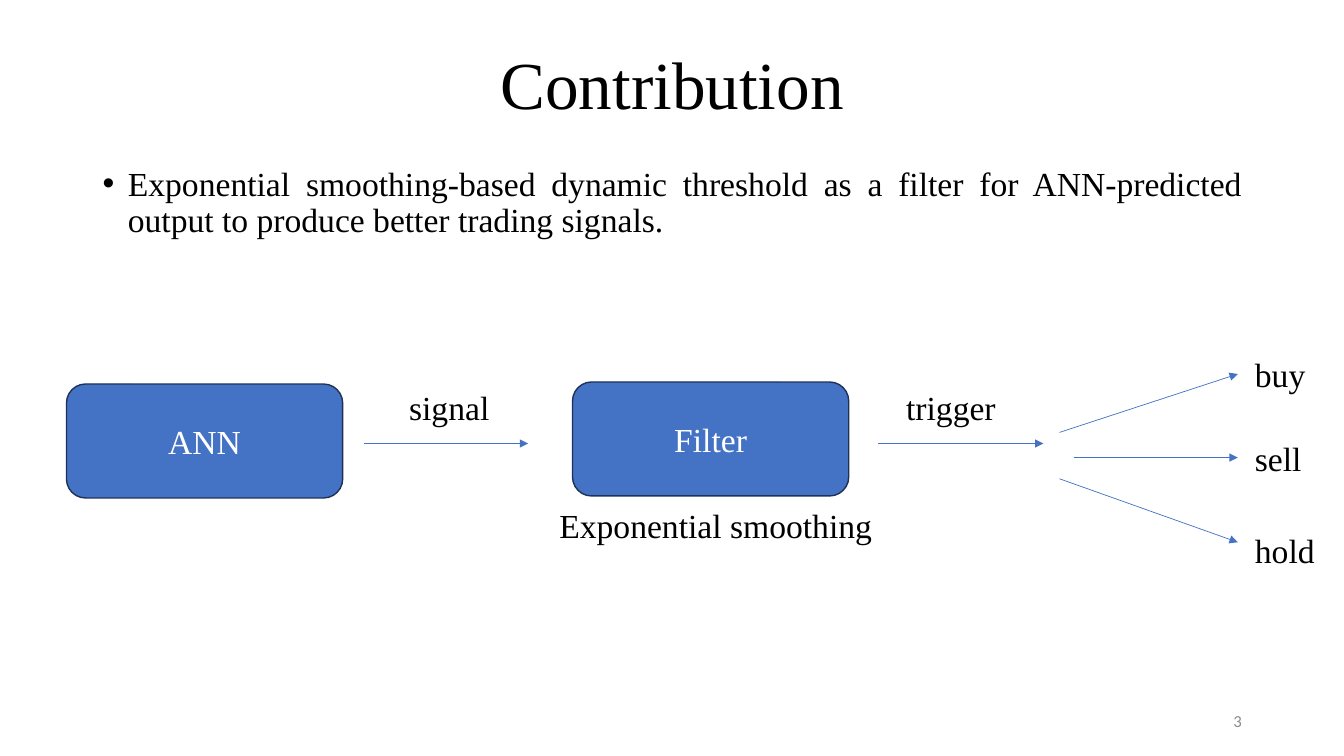
"""Build the Contribution slide: a signal flow from ANN through a filter to three actions."""
from lxml import etree
from pptx import Presentation
from pptx.dml.color import RGBColor
from pptx.enum.shapes import MSO_CONNECTOR, MSO_SHAPE
from pptx.enum.text import MSO_ANCHOR, PP_ALIGN
from pptx.oxml.ns import qn
from pptx.util import Inches, Pt

LEFT, CENTER, RIGHT, JUSTIFY = PP_ALIGN.LEFT, PP_ALIGN.CENTER, PP_ALIGN.RIGHT, PP_ALIGN.JUSTIFY
TOP, MIDDLE = MSO_ANCHOR.TOP, MSO_ANCHOR.MIDDLE
ROUNDED, STRAIGHT = MSO_SHAPE.ROUNDED_RECTANGLE, MSO_CONNECTOR.STRAIGHT
SLIDE_W, SLIDE_H = Inches(13.33), Inches(7.5)
SERIF, SANS = "Times New Roman", "Calibri"
BLACK, WHITE, GREY, BLUE, NAVY = "000000", "FFFFFF", "8C8C8C", "4472C4", "1E3256"
LABEL_H = 6.67


def rgb(value):
    """Turn a hex string into a colour."""
    return RGBColor.from_string(value)


def place(x, y):
    """Turn percentages of the slide's width and height into lengths."""
    return round(SLIDE_W * x / 100), round(SLIDE_H * y / 100)


def write(sp, text, size=24, color=BLACK, font=SERIF, align=LEFT, anchor=TOP):
    """Write one paragraph into a shape and return the paragraph."""
    tf = sp.text_frame
    tf.word_wrap = True
    tf.vertical_anchor = anchor
    p = tf.paragraphs[0]
    p.alignment = align
    r = p.add_run()
    r.text = text
    r.font.size, r.font.name = Pt(size), font
    r.font.color.rgb = rgb(color)
    return p


def add_text(s, text, x, y, w, h=LABEL_H, **style):
    """Add a text box and return its paragraph."""
    return write(s.shapes.add_textbox(*place(x, y), *place(w, h)), text, **style)


def add_stage(s, text, x, y):
    """Add one rounded box of the flow."""
    sp = s.shapes.add_shape(ROUNDED, *place(x, y), *place(20.55, 15.07))
    sp.shadow.inherit = False
    sp.fill.solid()
    sp.fill.fore_color.rgb = rgb(BLUE)
    sp.line.color.rgb = rgb(NAVY)
    sp.line.width = Pt(1)
    write(sp, text, color=WHITE, align=CENTER, anchor=MIDDLE)


def add_arrow(s, x1, y1, x2, y2):
    """Add a thin arrow that points to its second end."""
    line = s.shapes.add_connector(STRAIGHT, *place(x1, y1), *place(x2, y2))
    line.line.color.rgb = rgb(BLUE)
    line.line.width = Pt(0.5)
    etree.SubElement(line.line._get_or_add_ln(), qn("a:tailEnd"), type="triangle")
    etree.SubElement(line._element.spPr, qn("a:effectLst"))


def add_bullet(p):
    """Give a paragraph a hanging round bullet."""
    pPr = p._p.get_or_add_pPr()
    pPr.set("marL", str(Inches(0.25)))
    pPr.set("indent", str(-Inches(0.25)))
    etree.SubElement(pPr, qn("a:buFont"), typeface="Arial")
    etree.SubElement(pPr, qn("a:buChar"), char="•")


def main():
    """Build and save the slide."""
    prs = Presentation()
    prs.slide_width, prs.slide_height = SLIDE_W, SLIDE_H
    s = prs.slides.add_slide(prs.slide_layouts[6])

    title = add_text(s, "Contribution", 6.9, 2, 86.25, 19.33, size=48, align=CENTER, anchor=MIDDLE)
    body = add_text(s, "Exponential smoothing-based dynamic threshold as a filter for "
                    "ANN-predicted output to produce better trading signals.",
                    6.9, 21.47, 86.25, 63.47, align=JUSTIFY)
    title.line_spacing = body.line_spacing = 0.9
    add_bullet(body)
    add_text(s, "3", 70.65, 92.67, 22.5, 5.33, size=12, color=GREY, font=SANS,
             align=RIGHT, anchor=MIDDLE)

    for name, x, y in (("ANN", 4.95, 50.8), ("Filter", 42.6, 50.53)):
        add_stage(s, name, x, y)
    add_text(s, "Exponential smoothing", 40.88, 66.13, 29.2)

    for name, label_x, start, end in (("signal", 29.7, 27.08, 39.3),
                                      ("trigger", 66.68, 65.33, 77.63)):
        add_text(s, name, label_x, 50.53, 12)
        add_arrow(s, start, 58.67, end, 58.67)

    for name, label_y, x, y1, y2 in (("buy", 46.13, 78.83, 57.2, 49.47),
                                     ("sell", 57.33, 79.88, 60.53, 60.53),
                                     ("hold", 69.47, 78.83, 63.33, 71.73)):
        add_arrow(s, x, y1, 92.1, y2)
        add_text(s, name, 92.63, label_y, 7.37)

    prs.save("out.pptx")


if __name__ == "__main__":
    main()
